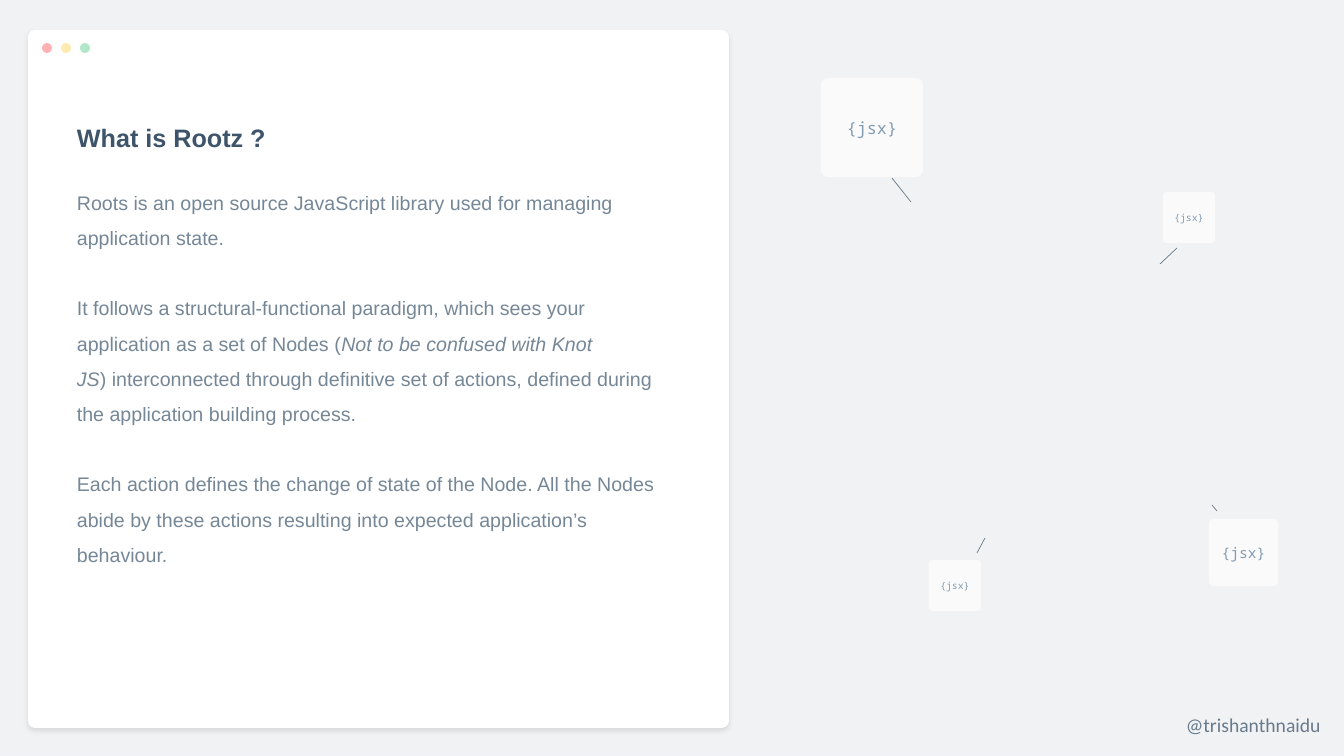
"""Build the slide that explains what Rootz is."""
from lxml import etree
from pptx import Presentation, util as u
from pptx.dml.color import RGBColor
from pptx.enum import shapes, text
from pptx.oxml.ns import qn

PX = 914400 / 100.8
SLATE, NAVY, PALE_BLUE = "677B8C", "3D546A", "829CB3"
BACKDROP = (0, 0, 1344, 756)
WINDOW = (28, 30, 701, 698)
BUTTONS = ["FF0000", "FFC000", "00B050"]
BUTTON_LEFT, BUTTON_TOP, BUTTON_SIZE, BUTTON_STEP = 42, 43, 10, 19
ARTICLE = (67, 102, 601, 470)
HANDLE, HANDLE_BOX = "@trishanthnaidu", (1176, 708, 168, 34)
TITLE = "What is Rootz ?"
PARAGRAPHS = [
    (19, [("Roots is an open source JavaScript library used for managing application state.", False)]),
    (25, [("It follows a structural-functional\u00a0paradigm, which sees your application as a set of Nodes\u00a0(", False),
          ("Not to be confused with Knot JS", True),
          (")\u00a0interconnected through definitive set of actions, defined during the application building process.", False)]),
    (25, [("Each action defines the change of state of the Node. All the Nodes abide by these actions "
           "resulting into expected application’s behaviour.", False)]),
]
NODE_LABEL = "{jsx}"
NODES = [
    ((821, 78, 102, 99), 12, (911, 202, 892, 178)),
    ((1163, 192, 52, 51), 7, (1177, 248, 1160, 264)),
    ((1209, 519, 69, 67), 10.5, (1217, 511, 1212, 505)),
    ((929, 560, 52, 51), 7, (977, 553, 985, 538)),
]


def emu(lengths):
    return [u.Emu(round(length * PX)) for length in lengths]


def paint(color_format, color):
    color_format.rgb = RGBColor.from_string(color)


def fade(properties, percent):
    color = next(properties.iter(qn("a:srgbClr")))
    etree.SubElement(color, qn("a:alpha")).set("val", str(percent * 1000))


def add_block(slide, kind, box, color):
    block = slide.shapes.add_shape(kind, *emu(box))
    block.shadow.inherit = False
    block.fill.solid()
    paint(block.fill.fore_color, color)
    block.line.fill.background()
    return block


def add_text_frame(slide, box):
    frame = slide.shapes.add_textbox(*emu(box)).text_frame
    frame.word_wrap = True
    return frame


def style(font, family, size, color):
    font.name, font.size = family, u.Pt(size)
    paint(font.color, color)


def add_window(slide):
    window = add_block(slide, shapes.MSO_SHAPE.ROUNDED_RECTANGLE, WINDOW, "FFFFFF")
    window.adjustments[0] = 0.01
    effects = window._element.spPr.find(qn("a:effectLst"))
    shadow = etree.SubElement(effects, qn("a:outerShdw"), blurRad=str(u.Pt(4)),
                              dist=str(u.Pt(2)), dir="5400000", rotWithShape="0")
    etree.SubElement(shadow, qn("a:srgbClr"), val="000000")
    fade(shadow, 10)
    for i, color in enumerate(BUTTONS):
        box = (BUTTON_LEFT + i * BUTTON_STEP, BUTTON_TOP, BUTTON_SIZE, BUTTON_SIZE)
        button = add_block(slide, shapes.MSO_SHAPE.OVAL, box, color)
        fade(button._element.spPr, 30)


def add_article(slide):
    frame = add_text_frame(slide, ARTICLE)
    title = frame.paragraphs[0]
    title.text, title.line_spacing = TITLE, 1.5
    style(title.font, "Arial", 18, NAVY)
    title.font.bold = True
    for gap, runs in PARAGRAPHS:
        paragraph = frame.add_paragraph()
        paragraph.line_spacing, paragraph.space_before = 1.5, u.Pt(gap)
        for wording, italic in runs:
            run = paragraph.add_run()
            run.text = wording
            style(run.font, "Arial", 14, SLATE)
            run.font.italic = italic
            fade(run._r, 89)


def add_node(slide, box, size, link):
    node = add_block(slide, shapes.MSO_SHAPE.ROUNDED_RECTANGLE, box, "FAFAFA")
    node.adjustments[0] = 0.066
    frame = node.text_frame
    frame.word_wrap = False
    frame.vertical_anchor = text.MSO_ANCHOR.MIDDLE
    label = frame.paragraphs[0]
    label.text, label.alignment = NODE_LABEL, text.PP_ALIGN.CENTER
    style(label.font, "Noto Sans Mono", size, PALE_BLUE)
    stem = slide.shapes.add_connector(shapes.MSO_CONNECTOR.STRAIGHT, *emu(link))
    stem.line.width = u.Pt(0.5)
    paint(stem.line.color, SLATE)
    etree.SubElement(stem._element.spPr, qn("a:effectLst"))


def main():
    deck = Presentation()
    deck.slide_width, deck.slide_height = emu(BACKDROP[2:])
    slide = deck.slides.add_slide(deck.slide_layouts[6])
    backdrop = add_block(slide, shapes.MSO_SHAPE.RECTANGLE, BACKDROP, "F1F2F4")
    paint(backdrop.line.color, "F2F2F2")
    backdrop.line.width = u.Pt(1)
    handle = add_text_frame(slide, HANDLE_BOX).paragraphs[0]
    handle.text = HANDLE
    style(handle.font, "Calibri", 14, SLATE)
    add_window(slide)
    add_article(slide)
    for node in NODES:
        add_node(slide, *node)
    deck.save("out.pptx")


if __name__ == "__main__":
    main()
